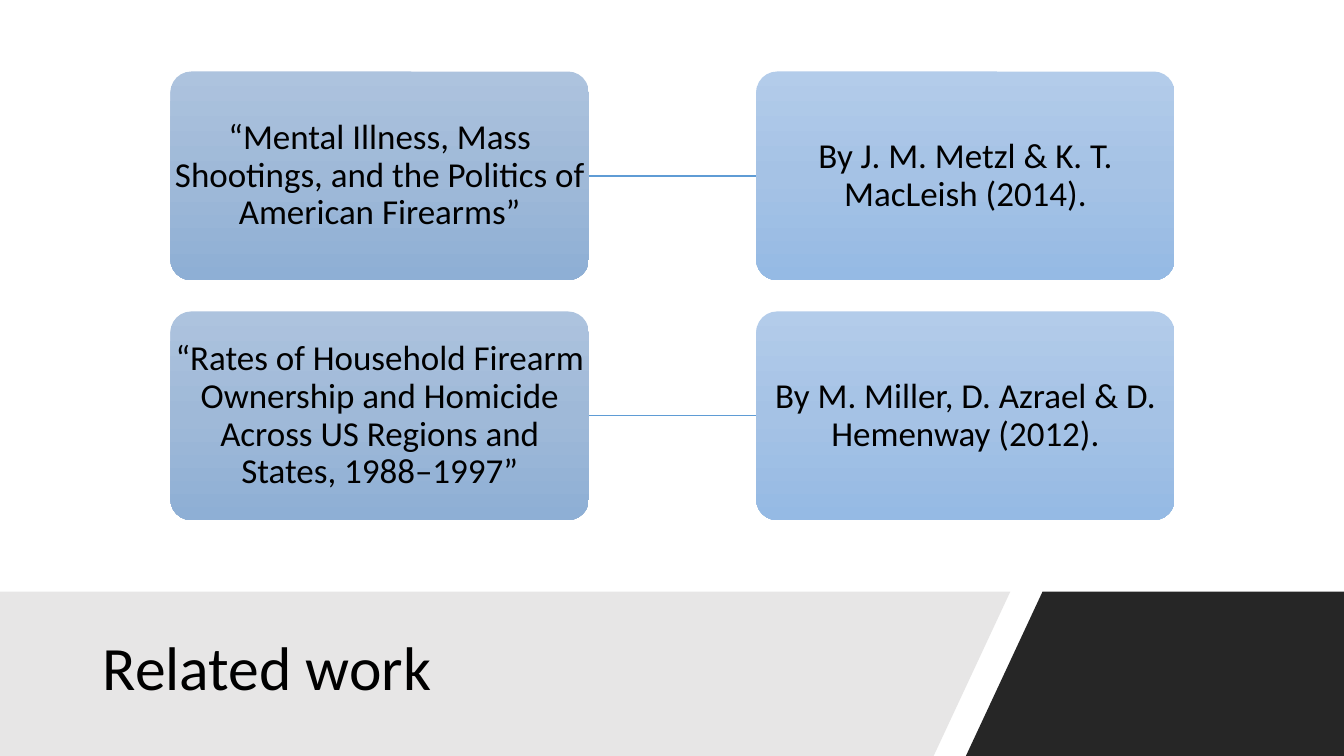
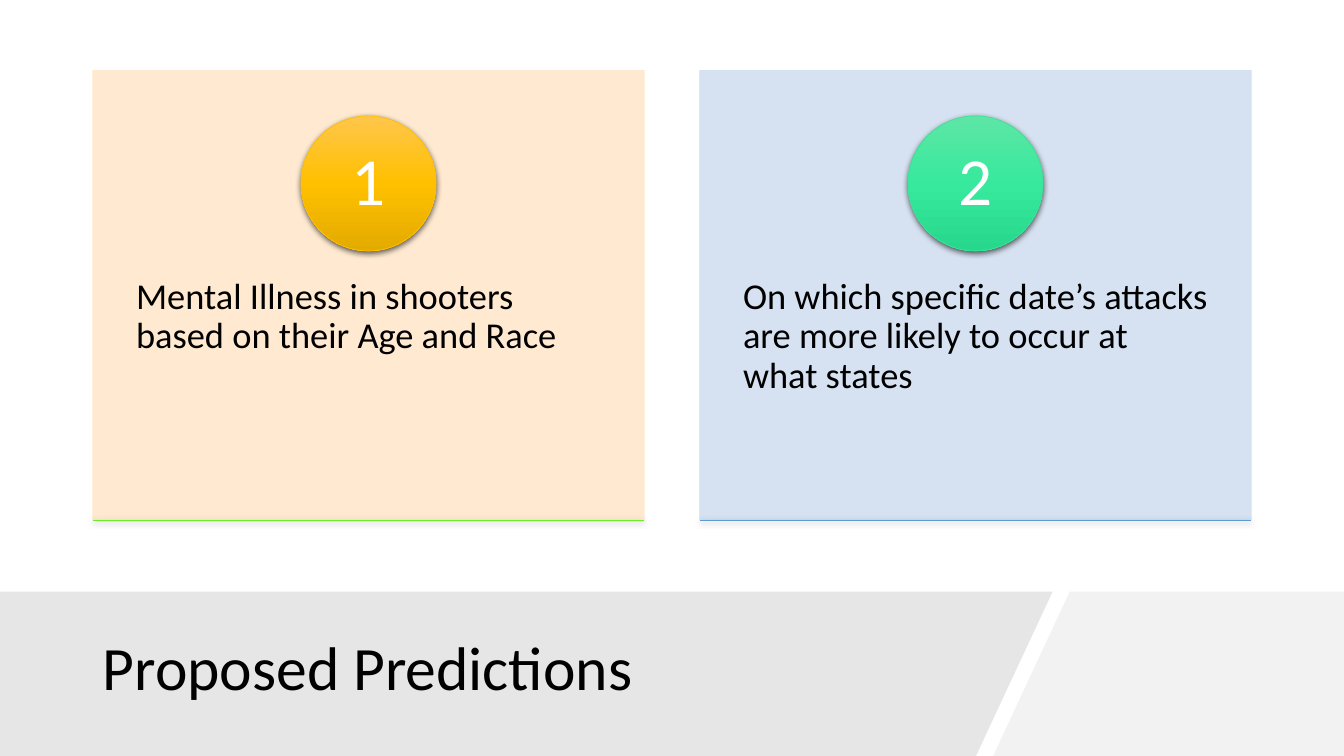
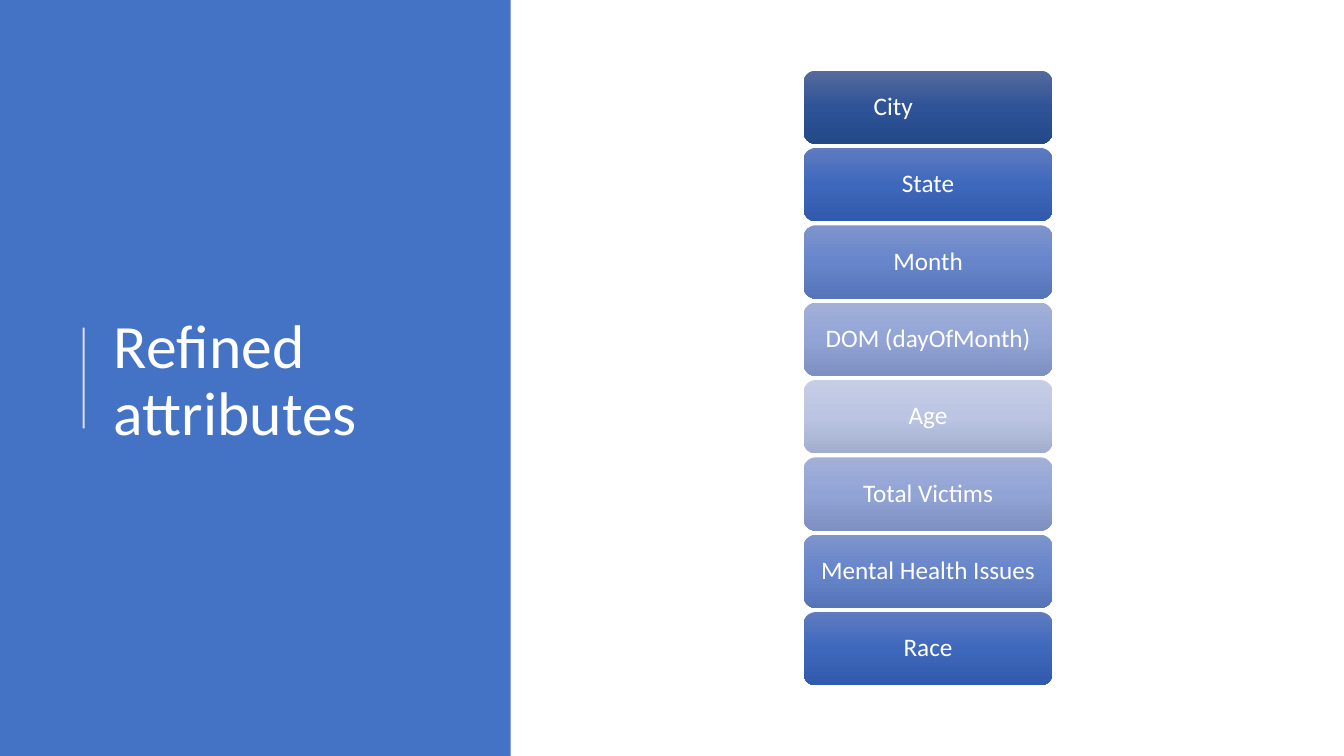
import copy
import dataclasses
import typing

import lxml.etree
import pptx
import pptx.dml.color
import pptx.enum.shapes
import pptx.enum.text
import pptx.oxml.ns
import pptx.util

Inches = pptx.util.Inches
Pt = pptx.util.Pt
RGB = pptx.dml.color.RGBColor
Shapes = pptx.enum.shapes.MSO_SHAPE
Align = pptx.enum.text.PP_ALIGN
Anchor = pptx.enum.text.MSO_ANCHOR
qn = pptx.oxml.ns.qn

# Shared look
WIDTH, HEIGHT = 13.33, 7.5
BAND_TOP = 5.87
BAND_SLANT = 0.76
FONT = "Calibri"
TITLE_ONLY = 5

BLACK = RGB(0x00, 0x00, 0x00)
WHITE = RGB(0xFF, 0xFF, 0xFF)
CHARCOAL = RGB(0x26, 0x26, 0x26)
BAND_GREY = RGB(0xE7, 0xE6, 0xE6)
PALE_GREY = RGB(0xF2, 0xF2, 0xF2)
PANEL_BLUE = RGB(0x44, 0x72, 0xC4)
LINK_BLUE = RGB(0x5F, 0x9C, 0xD5)
PEACH = RGB(0xFF, 0xE8, 0xCC)
ICE_BLUE = RGB(0xD2, 0xDF, 0xF0)
AMBER = RGB(0xFF, 0xC0, 0x00)
MINT = RGB(0x3F, 0xE1, 0x9B)
LIME = RGB(0x67, 0xEF, 0x21)
SKY = RGB(0x5B, 0x9B, 0xD5)

Gradient = tuple[RGB, RGB, RGB]
PAPER_TINT: Gradient = (RGB(0xAD, 0xC3, 0xDE), RGB(0x9F, 0xB9, 0xD8), RGB(0x8E, 0xAF, 0xD5))
AUTHOR_TINT: Gradient = (RGB(0xB3, 0xCC, 0xEA), RGB(0xA5, 0xC2, 0xE5), RGB(0x95, 0xBA, 0xE4))
AMBER_TINT: Gradient = (RGB(0xFF, 0xC6, 0x4B), AMBER, RGB(0xE3, 0xAB, 0x00))
MINT_TINT: Gradient = (RGB(0x5E, 0xE6, 0xA6), RGB(0x37, 0xE9, 0x9C), RGB(0x27, 0xD8, 0x8C))
BLUE_RAMP: list[Gradient] = [
    (RGB(0x56, 0x6B, 0x9E), RGB(0x2E, 0x53, 0x96), RGB(0x24, 0x49, 0x89)),
    (RGB(0x5F, 0x7B, 0xC1), RGB(0x3E, 0x68, 0xBC), RGB(0x32, 0x5A, 0xAC)),
    (RGB(0x7E, 0x94, 0xCC), RGB(0x67, 0x85, 0xCA), RGB(0x56, 0x74, 0xB8)),
    (RGB(0xA2, 0xB0, 0xD8), RGB(0x92, 0xA4, 0xD6), RGB(0x7E, 0x90, 0xC2)),
    (RGB(0xC6, 0xCE, 0xE6), RGB(0xBB, 0xC5, 0xE3), RGB(0xA3, 0xAD, 0xCD)),
]


@dataclasses.dataclass(frozen=True)
class Frame:
    left: float
    top: float
    width: float
    height: float

    def lengths(self) -> tuple:
        return tuple(Inches(value) for value in dataclasses.astuple(self))


@dataclasses.dataclass(frozen=True)
class Grid:
    area: Frame
    columns: int
    rows: int
    gap_x: float = 0
    gap_y: float = 0

    def cell(self, column: int, row: int) -> Frame:
        width = (self.area.width - self.gap_x * (self.columns - 1)) / self.columns
        height = (self.area.height - self.gap_y * (self.rows - 1)) / self.rows
        return Frame(self.area.left + column * (width + self.gap_x),
                     self.area.top + row * (height + self.gap_y), width, height)


@dataclasses.dataclass(frozen=True)
class TextStyle:
    size: float
    color: RGB
    align: typing.Any = Align.CENTER
    anchor: typing.Any = Anchor.MIDDLE
    margins: tuple = (0.1, 0.05, 0.1, 0.05)  # left, top, right, bottom


@dataclasses.dataclass(frozen=True)
class Prediction:
    number: str
    text: str
    card: RGB
    edge: RGB
    badge: Gradient
    badge_line: RGB


# Formatting helpers
def apply(target: typing.Any, values: dict) -> None:
    for name, value in values.items():
        setattr(target, name, value)


def write(box: typing.Any, text: str, style: TextStyle) -> None:
    frame = box.text_frame
    sides = ("margin_left", "margin_top", "margin_right", "margin_bottom")
    apply(frame, {"word_wrap": True, "auto_size": pptx.enum.text.MSO_AUTO_SIZE.NONE,
                  "vertical_anchor": style.anchor,
                  **{side: Inches(size) for side, size in zip(sides, style.margins)}})
    para = frame.paragraphs[0]
    apply(para, {"alignment": style.align, "line_spacing": 0.9})
    span = para.add_run()
    span.text = text
    apply(span.font, {"name": FONT, "size": Pt(style.size)})
    span.font.color.rgb = style.color


def set_alpha(part: typing.Any, percent: int) -> None:
    for color in part.element.spPr.iter(qn("a:srgbClr")):
        lxml.etree.SubElement(color, qn("a:alpha"), val=str(percent * 1000))


def set_effects(part: typing.Any, shadow: bool) -> None:
    properties = part.element.spPr
    effects = properties.find(qn("a:effectLst"))
    if effects is None:
        effects = lxml.etree.SubElement(properties, qn("a:effectLst"))
    if shadow:
        cast = lxml.etree.SubElement(effects, qn("a:outerShdw"), blurRad=str(Pt(4.5)),
                                     dist=str(Pt(1.5)), dir="5400000", rotWithShape="0")
        color = lxml.etree.SubElement(cast, qn("a:srgbClr"), val=str(BLACK))
        lxml.etree.SubElement(color, qn("a:alpha"), val="63000")


def paint(shape: typing.Any, fill: RGB | Gradient, line: RGB | None = None) -> None:
    shape.shadow.inherit = False
    if isinstance(fill, RGB):
        shape.fill.solid()
        shape.fill.fore_color.rgb = fill
    else:
        shape.fill.gradient()
        shape.fill.gradient_angle = 270
        stops = shape.element.spPr.find(".//" + qn("a:gsLst"))
        stops.insert(1, copy.deepcopy(stops[0]))
        for stop, position, color in zip(shape.fill.gradient_stops, (0, 0.5, 1), fill):
            stop.color.rgb = color
            stop.position = position
    if line is None:
        shape.line.fill.background()
    else:
        shape.line.color.rgb = line
        shape.line.width = Pt(0.5)


# Drawing helpers
def add_block(page: typing.Any, kind: typing.Any, frame: Frame,
              fill: RGB | Gradient, line: RGB | None = None) -> typing.Any:
    block = page.shapes.add_shape(kind, *frame.lengths())
    paint(block, fill, line)
    return block


def add_line(page: typing.Any, start: tuple, end: tuple, color: RGB,
             width: float, shadow: bool = False) -> typing.Any:
    line = page.shapes.add_connector(pptx.enum.shapes.MSO_CONNECTOR.STRAIGHT,
                                     *(Inches(value) for value in start + end))
    line.line.color.rgb = color
    line.line.width = Pt(width)
    set_effects(line, shadow)
    return line


def add_polygon(page: typing.Any, corners: list, fill: RGB) -> None:
    points = [(Inches(x), Inches(y)) for x, y in corners]
    builder = page.shapes.build_freeform(*points[0])
    builder.add_line_segments(points[1:], close=True)
    paint(builder.convert_to_shape(), fill)


def add_bands(page: typing.Any, grey_end: float, corner_start: float, corner: RGB) -> None:
    add_polygon(page, [(corner_start, BAND_TOP), (WIDTH, BAND_TOP), (WIDTH, HEIGHT),
                       (corner_start - BAND_SLANT, HEIGHT)], corner)
    add_polygon(page, [(0, BAND_TOP), (grey_end, BAND_TOP),
                       (grey_end - BAND_SLANT, HEIGHT), (0, HEIGHT)], BAND_GREY)


def set_title(page: typing.Any, text: str, frame: Frame, color: RGB = BLACK) -> None:
    title = page.shapes.title
    apply(title, dict(zip(("left", "top", "width", "height"), frame.lengths())))
    write(title, text, TextStyle(44, color, Align.LEFT))
    title.element.getparent().append(title.element)  # bring in front of the bands


# Slides
def related_work(page: typing.Any) -> None:
    add_bands(page, 10.02, 10.34, CHARCOAL)
    set_title(page, "Related work", Frame(0.92, 6.05, 8.44, 1.2))
    grid = Grid(Frame(1.69, 0.71, 9.96, 4.45), 2, 2, 1.66, 0.31)
    style = TextStyle(25, BLACK, margins=(0.02,) * 4)
    papers = [
        ("“Mental Illness, Mass Shootings, and the Politics of American Firearms”",
         "By J. M. Metzl & K. T. MacLeish (2014)."),
        ("“Rates of Household Firearm Ownership and Homicide Across US Regions "
         "and States, 1988–1997”",
         "By M. Miller, D. Azrael & D. Hemenway (2012)."),
    ]
    for row, paper in enumerate(papers):
        for column, (text, tint) in enumerate(zip(paper, (PAPER_TINT, AUTHOR_TINT))):
            cell = grid.cell(column, row)
            card = add_block(page, Shapes.ROUNDED_RECTANGLE, cell, tint)
            card.adjustments[0] = 0.1
            # The label spans the full card, beyond the rounded shape's own text area
            write(page.shapes.add_textbox(*cell.lengths()), text, style)
        left, right = grid.cell(0, row), grid.cell(1, row)
        middle = left.top + left.height / 2
        add_line(page, (left.left + left.width, middle), (right.left, middle), LINK_BLUE, 1)


def proposed_predictions(page: typing.Any) -> None:
    add_bands(page, 10.44, 10.61, PALE_GREY)
    set_title(page, "Proposed Predictions", Frame(0.92, 6.05, 8.83, 1.2))
    grid = Grid(Frame(0.92, 0.7, 11.49, 4.46), 2, 1, 0.55)
    badge_size = 1.34
    card_style = TextStyle(26, BLACK, Align.LEFT, Anchor.TOP, (0.43, 2.06, 0.41, 0.36))
    badge_style = TextStyle(48, WHITE, margins=(0.1, 0.01, 0.1, 0.01))
    predictions = [
        Prediction("1", "Mental Illness in shooters based on their Age and Race",
                   PEACH, LIME, AMBER_TINT, AMBER),
        Prediction("2", "On which specific date’s attacks are more likely to occur at what states",
                   ICE_BLUE, SKY, MINT_TINT, MINT),
    ]
    for column, item in enumerate(predictions):
        cell = grid.cell(column, 0)
        card = add_block(page, Shapes.RECTANGLE, cell, item.card, item.card)
        set_alpha(card, 90)
        write(card, item.text, card_style)
        spot = Frame(cell.left + (cell.width - badge_size) / 2, cell.top + 0.45,
                     badge_size, badge_size)
        badge = add_block(page, Shapes.OVAL, spot, item.badge, item.badge_line)
        set_effects(badge, shadow=True)
        write(badge, item.number, badge_style)
        bottom = cell.top + cell.height
        add_line(page, (cell.left, bottom), (cell.left + cell.width, bottom),
                 item.edge, 0.5, shadow=True)


def refined_attributes(page: typing.Any) -> None:
    add_block(page, Shapes.RECTANGLE, Frame(0, 0, 0.38 * WIDTH, HEIGHT), PANEL_BLUE)
    set_alpha(add_line(page, (0.83, 3.25), (0.83, 4.25), WHITE, 1.5), 80)
    set_title(page, "Refined attributes", Frame(1.03, 0.78, 3.69, 6.02), WHITE)
    attributes = ["City", "State", "Month", "DOM (dayOfMonth)", "Age",
                  "Total Victims", "Mental Health Issues", "Race"]
    grid = Grid(Frame(7.97, 0.7, 2.47, 6.1), 1, len(attributes), gap_y=0.04)
    centred = TextStyle(18, WHITE, margins=(0.07, 0.04, 0.07, 0.04))
    indented = dataclasses.replace(centred, align=Align.LEFT, margins=(0.66, 0.04, 0.07, 0.04))
    tints = BLUE_RAMP + BLUE_RAMP[-2:0:-1]
    for row, (text, tint) in enumerate(zip(attributes, tints)):
        bar = add_block(page, Shapes.ROUNDED_RECTANGLE, grid.cell(0, row), tint)
        write(bar, text, indented if row == 0 else centred)


def main() -> None:
    deck = pptx.Presentation()
    deck.slide_width, deck.slide_height = Inches(WIDTH), Inches(HEIGHT)
    for build in (related_work, proposed_predictions, refined_attributes):
        build(deck.slides.add_slide(deck.slide_layouts[TITLE_ONLY]))
    deck.save("out.pptx")


if __name__ == "__main__":
    main()
